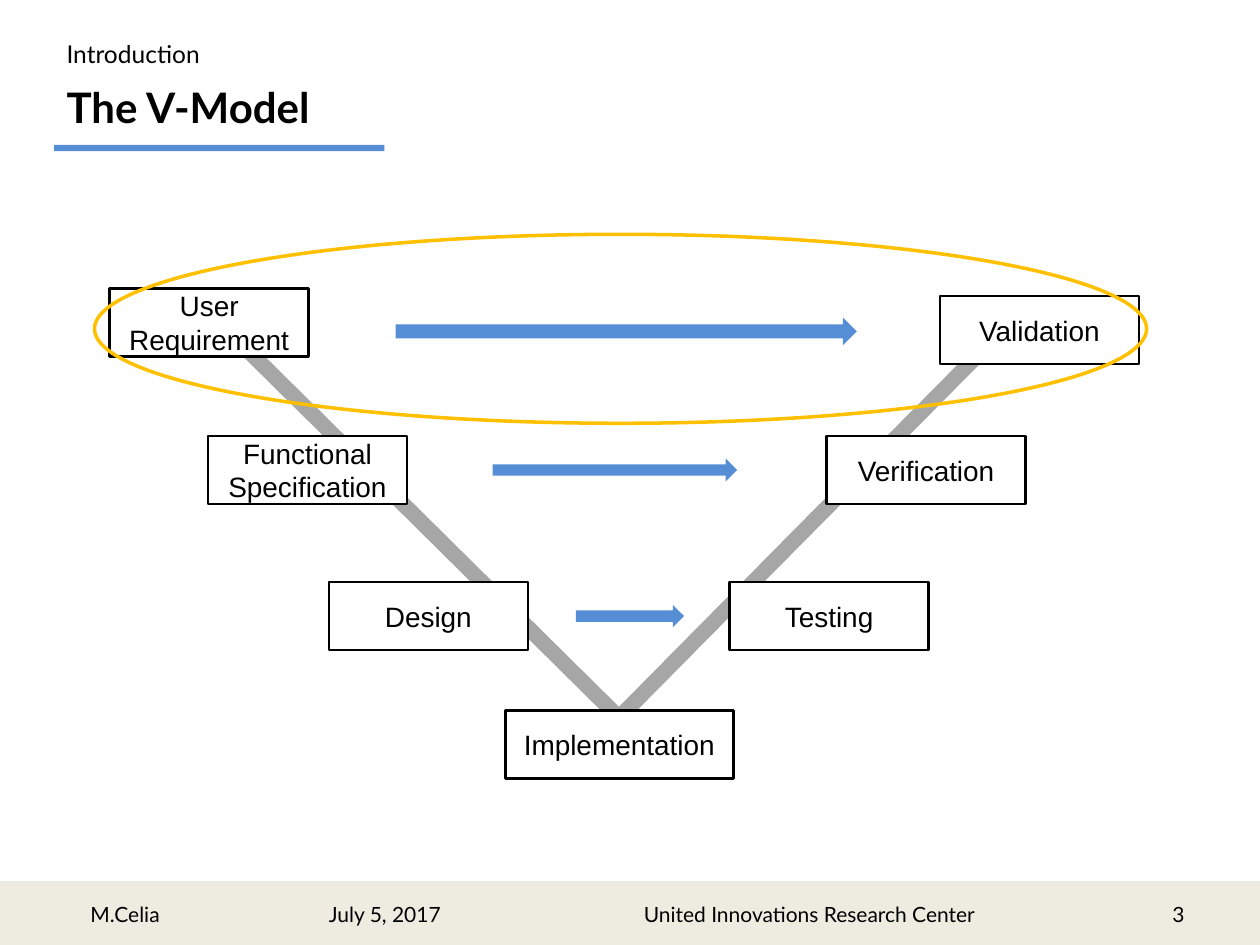
"""Build the V-Model slide: two legs of stages joined by arrows."""
from pptx import Presentation
from pptx.dml.color import RGBColor
from pptx.enum.shapes import MSO_SHAPE as Shape
from pptx.enum.text import MSO_ANCHOR as Anchor, PP_ALIGN as Align
from pptx.util import Inches, Pt

THEME = {
    "ink": "000000", "paper": "FFFFFF", "accent": "558ED5", "leg": "A6A6A6",
    "band": "EEECE1", "highlight": "FFC000",
    "heading_font": "Lato", "stage_font": "Arial",
    "title": 24, "stage": 16, "section": 14, "footer": 12,
}
COLUMNS, ROWS = 100, 75

deck = Presentation()
deck.slide_width, deck.slide_height = Inches(10), Inches(7.5)
slide = deck.slides.add_slide(deck.slide_layouts[6])
column, row = deck.slide_width / COLUMNS, deck.slide_height / ROWS


def add_block(preset, left, top, width, height, fill=None, line=None, weight=0):
    block = slide.shapes.add_shape(preset, round(left * column), round(top * row),
                                   round(width * column), round(height * row))
    block.shadow.inherit = False
    if fill:
        block.fill.solid()
        block.fill.fore_color.rgb = RGBColor.from_string(THEME[fill])
    else:
        block.fill.background()
    if line:
        block.line.color.rgb = RGBColor.from_string(THEME[line])
        block.line.width = Pt(weight)
    else:
        block.line.fill.background()
    return block


def write(holder, text, size, font, align, anchor=Anchor.MIDDLE, bold=False):
    frame = holder.text_frame
    frame.word_wrap = True
    frame.vertical_anchor = anchor
    frame.text = text
    for paragraph in frame.paragraphs:
        paragraph.alignment = align
        paragraph.font.size = Pt(THEME[size])
        paragraph.font.name = THEME[font]
        paragraph.font.bold = bold
        paragraph.font.color.rgb = RGBColor.from_string(THEME["ink"])


footer_top, footer_height = 70.1, 4.9
add_block(Shape.RECTANGLE, 0, footer_top, COLUMNS, footer_height, "band", "band", 2)

heading_left, heading_width = 4.3, 26.2
labels = [
    ("July 5, 2017", 19.3, footer_top, 22.5, footer_height, "footer", Align.CENTER, Anchor.MIDDLE),
    ("United Innovations Research Center", 48.4, footer_top, 31.7, footer_height, "footer",
     Align.CENTER, Anchor.MIDDLE),
    ("3", 71.7, footer_top, 23.3, footer_height, "footer", Align.RIGHT, Anchor.MIDDLE),
    ("M.Celia", 6.2, 71.1, 11.3, 3, "footer", Align.LEFT, Anchor.TOP),
    ("The V-Model", heading_left, 6, heading_width, 5, "title", Align.LEFT, Anchor.TOP),
    ("Introduction", heading_left, 2.6, heading_width, 3.4, "section", Align.LEFT, Anchor.TOP),
]
for text, left, top, width, height, size, align, anchor in labels:
    label = slide.shapes.add_textbox(round(left * column), round(top * row),
                                     round(width * column), round(height * row))
    write(label, text, size, "heading_font", align, anchor, bold=size == "title")
add_block(Shape.RECTANGLE, heading_left, 11.5, heading_width, 0.5, "accent")

v_legs = add_block(Shape.LEFT_UP_ARROW, 26.6, 3.2, 45.3, 46.1, "leg")
v_legs.rotation = 44.7
for index, share in enumerate((0.027, 0.025, 0)):
    v_legs.adjustments[index] = share

stage_width, stage_height = 15.8, 5.4
stages = [
    ("User\nRequirement", 8.7, 22.9, stage_width),
    ("Functional\nSpecification", 16.5, 34.6, stage_width),
    ("Design", 26.1, 46.2, stage_width),
    ("Implementation", 40.1, 56.4, 18.1),
    ("Validation", 74.6, 23.5, stage_width),
    ("Verification", 65.6, 34.6, stage_width),
    ("Testing", 57.9, 46.2, stage_width),
]
for name, left, top, width in stages:
    stage = add_block(Shape.RECTANGLE, left, top, width, stage_height, "paper", "ink", 1.5)
    write(stage, name, "stage", "stage_font", Align.CENTER)

for left, top, width, height in [(31.4, 25.2, 36.6, 2.2), (39.1, 36.4, 19.4, 1.8),
                                 (45.7, 48, 8.6, 1.8)]:
    add_block(Shape.RIGHT_ARROW, left, top, width, height, "accent")

add_block(Shape.OVAL, 7.5, 18.6, 83.5, 15, line="highlight", weight=2)

deck.save("out.pptx")
